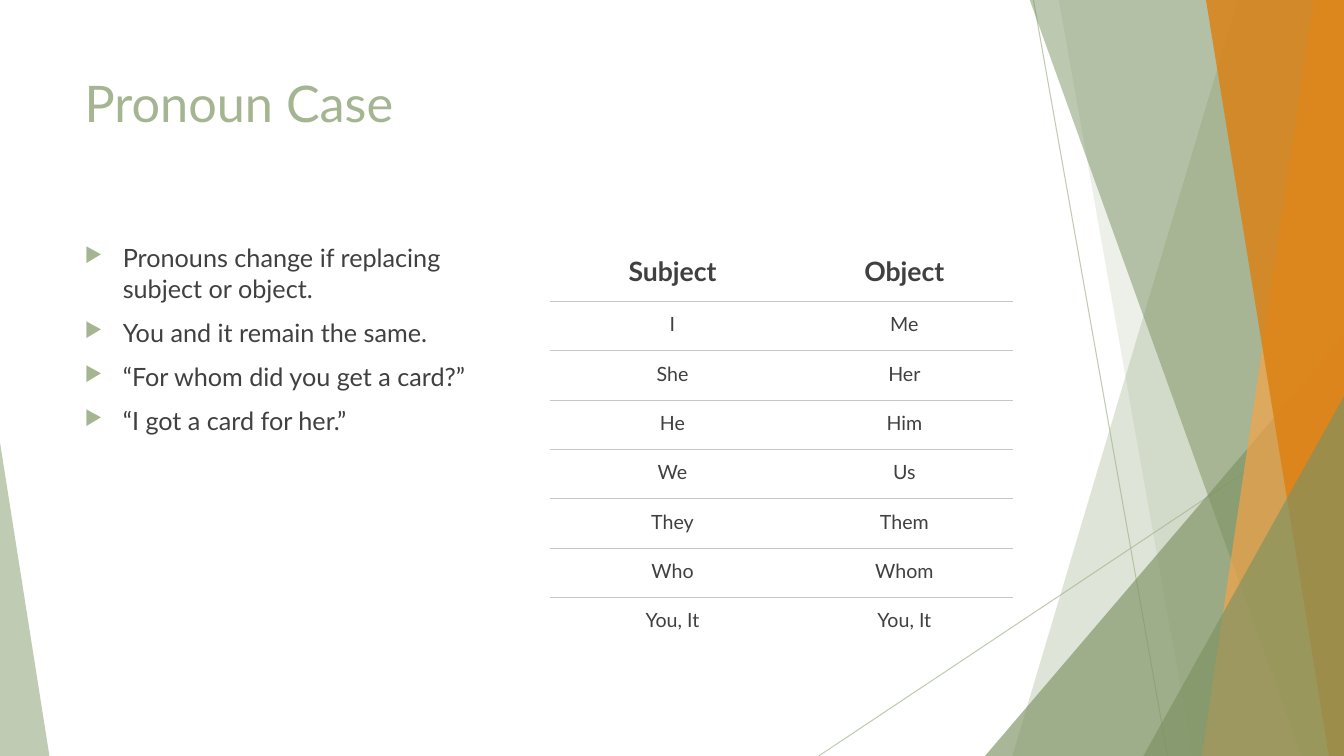
from lxml import etree
from pptx import Presentation
from pptx import util as u
from pptx.dml.color import RGBColor
from pptx.enum import shapes, text
from pptx.oxml import parse_xml
from pptx.oxml.ns import nsdecls, qn

COLORS = {
    "sage": "A5B592",
    "moss": "7D9263",
    "apricot": "F3A447",
    "orange": "DD7E0E",
    "ink": "404040",
    "rule": "C7C6C1",
}
FONT = "Lato"


def write(frame, content, size, color, bold=False, align=text.PP_ALIGN.LEFT, first=True):
    para = frame.paragraphs[0] if first else frame.add_paragraph()
    para.alignment = align
    span = para.add_run()
    span.text = content
    span.font.name = FONT
    span.font.size = u.Pt(size)
    span.font.bold = bold
    span.font.color.rgb = RGBColor.from_string(COLORS[color])
    return para


def paint(fill, color, opacity):
    fill.solid()
    fill.fore_color.rgb = RGBColor.from_string(COLORS[color])
    tint = fill.fore_color._xFill.find(qn("a:srgbClr"))
    etree.SubElement(tint, qn("a:alpha"), val=str(opacity * 1000))


deck = Presentation()
deck.slide_width, deck.slide_height = u.Inches(13.33), u.Inches(7.5)
page = deck.slides.add_slide(deck.slide_layouts[6])

for ends in [(10.25, 0, 11.58, 7.5), (13.33, 4.03, 8.12, 7.5)]:
    ray = page.shapes.add_connector(
        shapes.MSO_CONNECTOR.STRAIGHT, *[u.Inches(value) for value in ends])
    ray.line.width = u.Pt(0.75)
    paint(ray.line.fill, "sage", 70)
    etree.SubElement(ray._element.spPr, qn("a:effectLst"))

facets = [
    ("band", 12.28, 10.04, "sage", 36),
    ("band", 10.5, 11.83, "sage", 20),
    ("triangle", (9.77, 3.33, 3.56, 4.17), 1, "moss", 66),
    ("band", 10.21, 12.91, "moss", 50),
    ("band", 13.03, 11.92, "apricot", 70),
    ("band", 11.96, 13.18, "orange", 80),
    ("triangle", (11.34, 3.93, 1.99, 3.57), 1, "moss", 66),
    ("triangle", (0, 4.39, 0.49, 3.11), 0, "sage", 70),
]
for kind, start, end, color, opacity in facets:
    if kind == "band":
        builder = page.shapes.build_freeform(
            u.Inches(start), u.Inches(-0.01))
        corners = [(13.33, -0.01), (13.33, 7.5), (end, 7.5)]
        builder.add_line_segments(
            [(u.Inches(x), u.Inches(y)) for x, y in corners], close=True)
        facet = builder.convert_to_shape()
    else:
        facet = page.shapes.add_shape(
            shapes.MSO_SHAPE.ISOSCELES_TRIANGLE, *[u.Inches(value) for value in start])
        facet.adjustments[0] = end
    paint(facet.fill, color, opacity)
    facet.line.fill.background()
    facet.shadow.inherit = False

title = page.shapes.add_textbox(u.Inches(0.74), u.Inches(0.67), u.Inches(9.4), u.Inches(1.44))
title.text_frame.word_wrap = True
write(title.text_frame, "Pronoun Case", size=36, color="sage")

body = page.shapes.add_textbox(u.Inches(0.74), u.Inches(2.36), u.Inches(4.33), u.Inches(4.1))
body.text_frame.word_wrap = True
points = [
    "Pronouns change if replacing subject or object.",
    "You and it remain the same.",
    "“For whom did you get a card?”",
    "“I got a card for her.”",
]
for index, point in enumerate(points):
    para = write(body.text_frame, point, size=18, color="ink", first=index == 0)
    para.space_before = u.Pt(10)
    layout = para._p.get_or_add_pPr()
    layout.set("marL", str(u.Inches(0.38)))
    layout.set("indent", str(u.Inches(-0.38)))
    bullet_color = etree.SubElement(layout, qn("a:buClr"))
    etree.SubElement(bullet_color, qn("a:srgbClr"), val=COLORS["sage"])
    etree.SubElement(layout, qn("a:buSzPct"), val="80000")
    etree.SubElement(layout, qn("a:buChar"), char="▶")

pronouns = [
    ("Subject", "Object"),
    ("I", "Me"),
    ("She", "Her"),
    ("He", "Him"),
    ("We", "Us"),
    ("They", "Them"),
    ("Who", "Whom"),
    ("You, It", "You, It"),
]
holder = page.shapes.add_table(
    len(pronouns), 2, u.Inches(5.45), u.Inches(2.42), u.Inches(4.6), u.Inches(4))
table = holder.table
table.first_row = table.horz_banding = False
NO_GRID = "{2D5ABB26-0587-4C30-8999-92F81FD0307C}"
table._tbl.tblPr.find(qn("a:tableStyleId")).text = NO_GRID
for column, width in zip(table.columns, (2.39, 2.21)):
    column.width = u.Inches(width)

for index, pair in enumerate(pronouns):
    header = index == 0
    table.rows[index].height = u.Inches(0.57 if header else 0.49)
    for cell, word in zip(table.rows[index].cells, pair):
        cell.margin_left, cell.margin_right = u.Inches(0.21), u.Inches(0.16)
        cell.margin_top = cell.margin_bottom = u.Inches(0.11)
        write(cell.text_frame, word, size=19 if header else 14, color="ink",
              bold=header, align=text.PP_ALIGN.CENTER)
        if index < len(pronouns) - 1:
            cell._tc.get_or_add_tcPr().append(parse_xml(
                f'<a:lnB {nsdecls("a")} w="{u.Pt(0.75)}"><a:solidFill>'
                f'<a:srgbClr val="{COLORS["rule"]}"/></a:solidFill></a:lnB>'))
        cell.fill.background()

deck.save("out.pptx")
